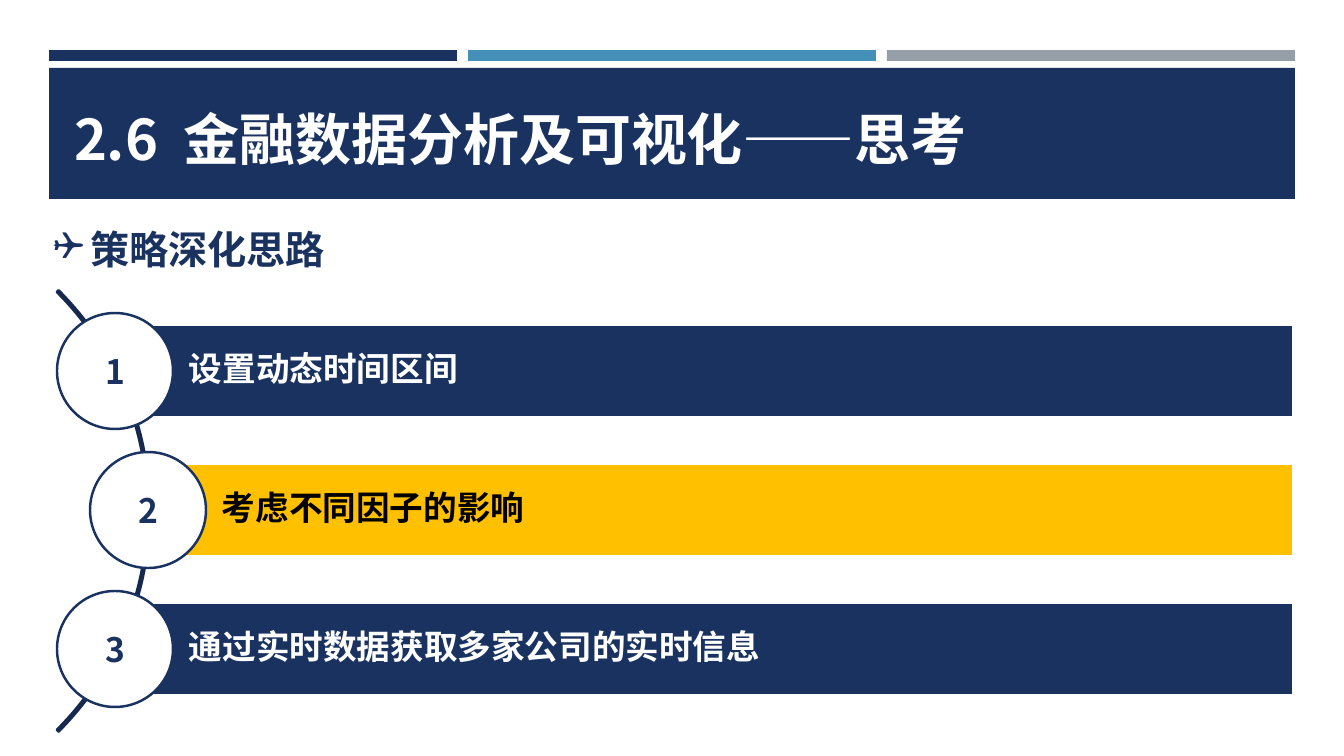
from lxml.etree import SubElement
from pptx import Presentation
from pptx.dml.color import RGBColor
from pptx.enum.shapes import MSO_SHAPE as Preset
from pptx.enum.text import MSO_ANCHOR as Anchor, MSO_AUTO_SIZE as AutoSize, PP_ALIGN as Align
from pptx.oxml.ns import qn
from pptx.util import Pt

NAVY = RGBColor(0x1A, 0x32, 0x60)
DEEP_NAVY = RGBColor(0x15, 0x28, 0x4D)
BLUE = RGBColor(0x45, 0x90, 0xB8)
GRAY = RGBColor(0x96, 0x9F, 0xA7)
GOLD = RGBColor(0xFF, 0xC0, 0x00)
WHITE = RGBColor(0xFF, 0xFF, 0xFF)
BLACK = RGBColor(0x00, 0x00, 0x00)
FONT = "Noto Sans CJK SC"

TITLE = ["2.6", " ", "金融数据分析及可视化——思考"]
HEADING = "策略深化思路"
IDEAS = [
    ("设置动态时间区间", 115, NAVY, WHITE),
    ("考虑不同因子的影响", 148, GOLD, BLACK),
    ("通过实时数据获取多家公司的实时信息", 115, NAVY, WHITE),
]
STRIPS = [NAVY, BLUE, GRAY]

SLIDE_SIZE = (1344, 756)
STRIP_LEFT, STRIP_TOP, STRIP_WIDTH, STRIP_HEIGHT, STRIP_PITCH = 49, 50, 408, 11, 419
BAND_BOX = (49, 68, 1246, 131)
TITLE_BOX = (64, 98, 1230, 80)
HEADING_BOX = (43, 201, 1250, 72)
ARC_BOX = (-474, 199, 624, 624)
FIRST_CENTER, IDEA_PITCH = 371, 139
BAR_RIGHT, BAR_HEIGHT, BAR_INDENT = 1293, 92, 74
CIRCLE = 116
BULLET_INDENT = 37


def px(length):
    """Turn pixels into EMU."""
    return round(length * 914400 / 100.8)


def add_preset(slide, preset, box, fill=None, line=None):
    """Add a preset shape with plain fill and line."""
    shape = slide.shapes.add_shape(preset, *map(px, box))
    shape.shadow.inherit = False
    if fill is None:
        shape.fill.background()
    else:
        shape.fill.solid()
        shape.fill.fore_color.rgb = fill
    if line is None:
        shape.line.fill.background()
    else:
        shape.line.color.rgb = line
        shape.line.width = Pt(1.75)
    return shape


def format_text(shape, size, color, align=Align.LEFT, left_inset=0):
    """Format the text of a shape, centred vertically."""
    frame = shape.text_frame
    frame.word_wrap = True
    frame.auto_size = AutoSize.NONE
    frame.vertical_anchor = Anchor.MIDDLE
    frame.margin_left = px(left_inset)
    frame.margin_right = frame.margin_top = frame.margin_bottom = 0
    paragraph = frame.paragraphs[0]
    paragraph.alignment = align
    paragraph.space_before = Pt(0)
    for run in paragraph.runs:
        run.font.name = FONT
        run.font.size = Pt(size)
        run.font.bold = True
        run.font.color.rgb = color
        SubElement(run.font._element, qn("a:ea"), typeface=FONT)
    return paragraph


def place(shape, box):
    """Move and resize a placeholder."""
    shape.left, shape.top, shape.width, shape.height = map(px, box)


def add_header(slide):
    """Add the strips, the band and the title."""
    title = slide.shapes.title
    boxes = [((STRIP_LEFT + index * STRIP_PITCH, STRIP_TOP, STRIP_WIDTH, STRIP_HEIGHT), color)
             for index, color in enumerate(STRIPS)]
    for box, color in boxes + [(BAND_BOX, NAVY)]:
        shape = add_preset(slide, Preset.RECTANGLE, box, color)
        title.element.addprevious(shape.element)
    place(title, TITLE_BOX)
    paragraph = title.text_frame.paragraphs[0]
    for text in TITLE:
        paragraph.add_run().text = text
    format_text(title, 40, WHITE, left_inset=10)
    paragraph.runs[1].font._element.set("spc", "900")


def add_heading(slide):
    """Fill the body placeholder with the bulleted heading."""
    body = slide.placeholders[1]
    place(body, HEADING_BOX)
    body.text_frame.text = HEADING
    properties = body.text_frame.paragraphs[0]._p.get_or_add_pPr()
    properties.set("marL", str(px(BULLET_INDENT)))
    properties.set("indent", str(-px(BULLET_INDENT)))
    SubElement(properties, qn("a:buFont"), typeface="Wingdings")
    SubElement(properties, qn("a:buChar"), char="❑")
    paragraph = format_text(body, 28, NAVY, left_inset=10)
    paragraph.line_spacing = 1.5


def add_ideas(slide):
    """Add the arc and the numbered bars."""
    arc = add_preset(slide, Preset.BLOCK_ARC, ARC_BOX, line=DEEP_NAVY)
    for index, value in enumerate((189, 27, 0.004)):
        arc.adjustments[index] = value
    for index, (text, left, fill, color) in enumerate(IDEAS):
        center = FIRST_CENTER + index * IDEA_PITCH
        bar_box = (left, center - BAR_HEIGHT / 2, BAR_RIGHT - left, BAR_HEIGHT)
        bar = add_preset(slide, Preset.RECTANGLE, bar_box, fill, WHITE)
        bar.text_frame.text = text
        format_text(bar, 24, color, left_inset=BAR_INDENT).line_spacing = 0.9
        circle_box = (left - CIRCLE / 2, center - CIRCLE / 2, CIRCLE, CIRCLE)
        circle = add_preset(slide, Preset.OVAL, circle_box, WHITE, NAVY)
        circle.text_frame.text = str(index + 1)
        format_text(circle, 24, NAVY, Align.CENTER)


def main():
    """Build the slide and save it."""
    presentation = Presentation()
    presentation.slide_width, presentation.slide_height = map(px, SLIDE_SIZE)
    slide = presentation.slides.add_slide(presentation.slide_layouts[1])
    add_header(slide)
    add_heading(slide)
    add_ideas(slide)
    presentation.save("out.pptx")


if __name__ == "__main__":
    main()
